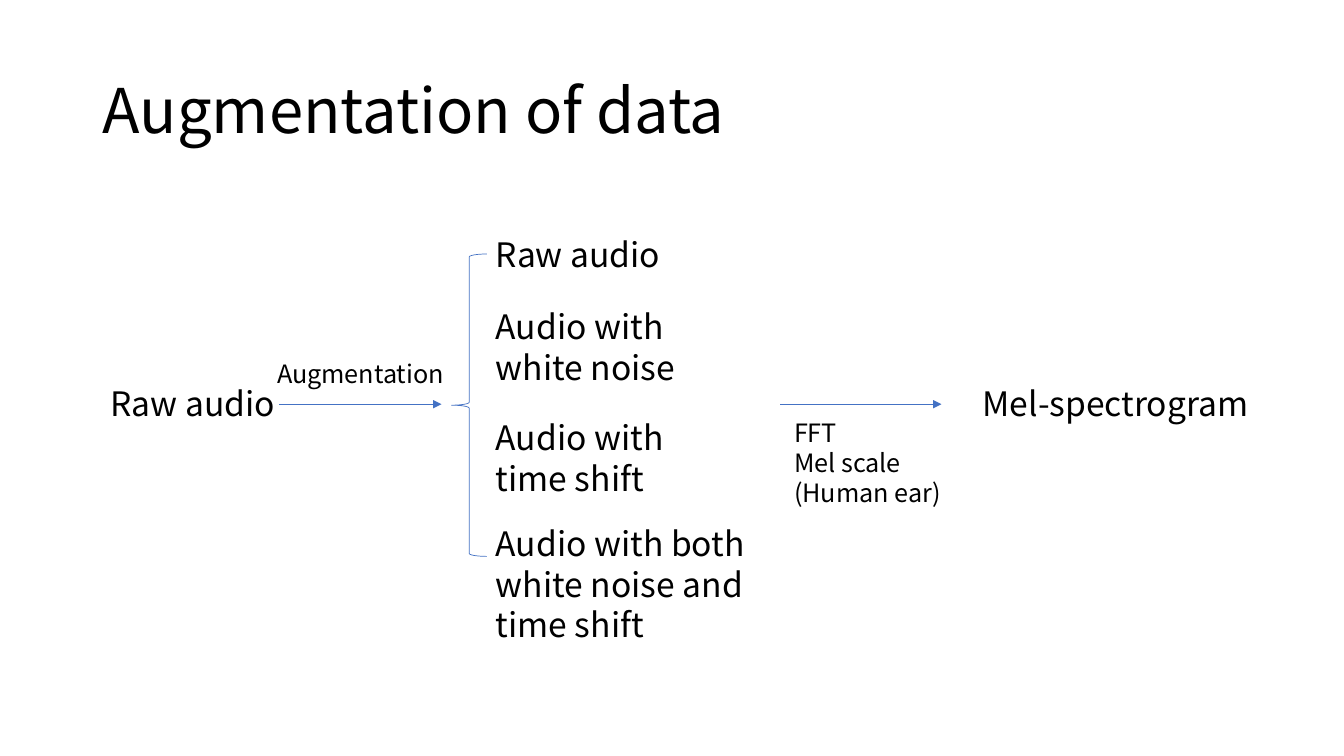
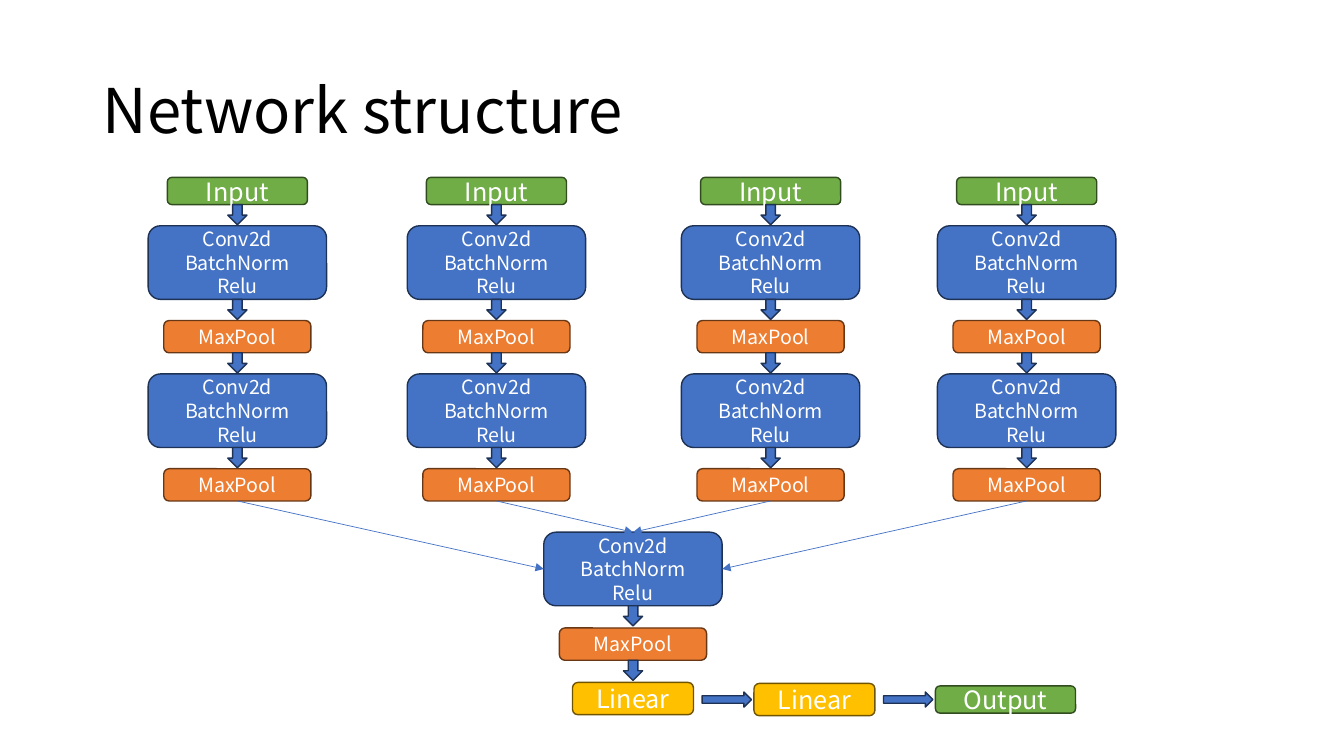
from pptx import Presentation as Deck
from pptx.dml.color import RGBColor as RGB
from pptx.enum.shapes import MSO_CONNECTOR as Conn, MSO_SHAPE as Geo
from pptx.enum.text import MSO_ANCHOR as Anchor, MSO_AUTO_SIZE as Fit, PP_ALIGN as Align
from pptx.oxml.ns import qn
from pptx.util import Inches, Pt
from lxml import etree

# Shared look
FONT = "Noto Sans CJK SC"
BLACK = RGB(0x00, 0x00, 0x00)
WHITE = RGB(0xFF, 0xFF, 0xFF)
BLUE, NAVY = RGB(0x44, 0x72, 0xC4), RGB(0x1E, 0x32, 0x56)
ORANGE, RUST = RGB(0xED, 0x7D, 0x31), RGB(0x68, 0x37, 0x15)
GREEN, MOSS = RGB(0x70, 0xAD, 0x47), RGB(0x31, 0x4C, 0x1F)
GOLD, BROWN = RGB(0xFF, 0xC0, 0x00), RGB(0x70, 0x54, 0x00)

# Grid of square cells, ten to the inch
COLS, ROWS = 133.33, 75
HEAD = (9.2, 4, 115, 14.5)
FLOW = (10, 22.7, 116.2, 41.8)
NET = (14.7, 17.6, 92, 53.4)

# Network layers: width, height, text size, fill, edge, lines
KINDS = {
    "input": (13.9, 2.7, 18, GREEN, MOSS, ["Input"]),
    "conv": (17.7, 7.3, 14, BLUE, NAVY, ["Conv2d", "BatchNorm", "Relu"]),
    "pool": (14.6, 3.2, 14, ORANGE, RUST, ["MaxPool"]),
    "linear": (12, 3.2, 18, GOLD, BROWN, ["Linear"]),
    "output": (13.9, 2.7, 18, GREEN, MOSS, ["Output"]),
}


def cell(n):
    return Inches(n / 10)


def apply(item, **vals):
    for key, val in vals.items():
        setattr(item, key, val)


def write(frame, lines, size, color, align=Align.LEFT, lead=None):
    apply(frame, word_wrap=True, auto_size=Fit.NONE)
    frame.text = "\n".join(lines)
    for para in frame.paragraphs:
        apply(para, alignment=align, line_spacing=lead or Pt(size * 1.2))
        apply(para.font, name=FONT, size=Pt(size))
        para.font.color.rgb = color


def label(slide, box, lines, size):
    note = slide.shapes.add_textbox(*map(cell, box))
    write(note.text_frame, lines, size, BLACK)


def shape(slide, geo, box, fill=BLUE, edge=NAVY, width=1):
    item = slide.shapes.add_shape(geo, *map(cell, box))
    item.shadow.inherit = False
    if fill is None:
        item.fill.background()
    else:
        item.fill.solid()
        item.fill.fore_color.rgb = fill
    item.line.color.rgb = edge
    item.line.width = Pt(width)
    return item


def arrow(slide, x1=0, y1=0, x2=0, y2=0):
    link = slide.shapes.add_connector(Conn.STRAIGHT, *map(cell, (x1, y1, x2, y2)))
    link.line.color.rgb = BLUE
    link.line.width = Pt(0.5)
    tip = etree.SubElement(link.line._get_or_add_ln(), qn("a:tailEnd"))
    tip.set("type", "triangle")
    etree.SubElement(link._element.spPr, qn("a:effectLst"))
    return link


def page(deck, text):
    slide = deck.slides.add_slide(deck.slide_layouts[5])
    title = slide.shapes.title
    apply(title, **dict(zip(("left", "top", "width", "height"), map(cell, HEAD))))
    title.text_frame.vertical_anchor = Anchor.MIDDLE
    write(title.text_frame, [text], 44, BLACK, lead=0.9)
    return slide


# Data flow: source, variants, result
def flow(slide, box):
    left, top = box[:2]
    mid = top + 17.4
    label(slide, (left, mid - 2.6, 20.6, 5), ["Raw audio"], 24)
    label(slide, (left + 16.5, mid - 5, 20.6, 4), ["Augmentation"], 18)
    arrow(slide, left + 17.7, mid, left + 33.8, mid)
    shape(slide, Geo.LEFT_BRACE, (left + 34.8, top + 2.5, 3.5, 30), None, BLUE, 0.5)

    variants = [
        (0, 21.1, 5, "Raw audio"),
        (7.2, 26.4, 9.1, "Audio with white noise"),
        (18.2, 25.5, 9.1, "Audio with time shift"),
        (28.7, 29.2, 13.1, "Audio with both white noise and time shift"),
    ]
    for drop, wide, high, text in variants:
        label(slide, (left + 38.2, top + drop, wide, high), [text], 24)

    arrow(slide, left + 67.4, mid, left + 83.4, mid)
    label(slide, (left + 67.8, mid + 0.8, 17, 10.1), ["FFT", "Mel scale (Human ear)"], 18)
    label(slide, (left + 86.5, mid - 2.6, 29.7, 5), ["Mel-spectrogram"], 24)


def layer(slide, kind, mid, top):
    wide, high, size, fill, edge, lines = KINDS[kind]
    item = shape(slide, Geo.ROUNDED_RECTANGLE, (mid - wide / 2, top, wide, high), fill, edge)
    apply(item.text_frame, margin_top=0, margin_bottom=0, vertical_anchor=Anchor.MIDDLE)
    write(item.text_frame, lines, size, WHITE, Align.CENTER)
    return item


# Column of layers joined by block arrows
def stack(slide, mid, top, gap, kinds):
    items = []
    for kind in kinds:
        if items:
            shape(slide, Geo.DOWN_ARROW, (mid - 0.95, top - gap, 1.9, 2))
        items.append(layer(slide, kind, mid, top))
        top += KINDS[kind][1] + gap
    return items


# Row of layers that continues a column to the right
def row(slide, left, mid, kinds):
    for kind in kinds:
        wide, high = KINDS[kind][:2]
        shape(slide, Geo.RIGHT_ARROW, (left + 0.85, mid - 0.75, 4.9, 1.5))
        left += 6
        layer(slide, kind, left + wide / 2, mid - high / 2)
        left += wide


def network(slide, box):
    left, top = box[:2]
    trunk = left + 48.1
    merge = stack(slide, trunk, top + 35.2, 2.2, ["conv", "pool", "linear"])[0]
    row(slide, trunk + 6, top + 51.8, ["linear", "output"])

    # Branches and the side of the merge layer each one enters
    for step, side in [(8.85, 1), (34.55, 0), (61.75, 0), (87.15, 3)]:
        tower = stack(slide, left + step, top, 2.1, ["input", "conv", "pool", "conv", "pool"])
        link = arrow(slide)
        link.begin_connect(tower[-1], 2)
        link.end_connect(merge, side)


def main():
    deck = Deck()
    apply(deck, slide_width=cell(COLS), slide_height=cell(ROWS))
    flow(page(deck, "Augmentation of data"), FLOW)
    network(page(deck, "Network structure"), NET)
    deck.save("out.pptx")


if __name__ == "__main__":
    main()
